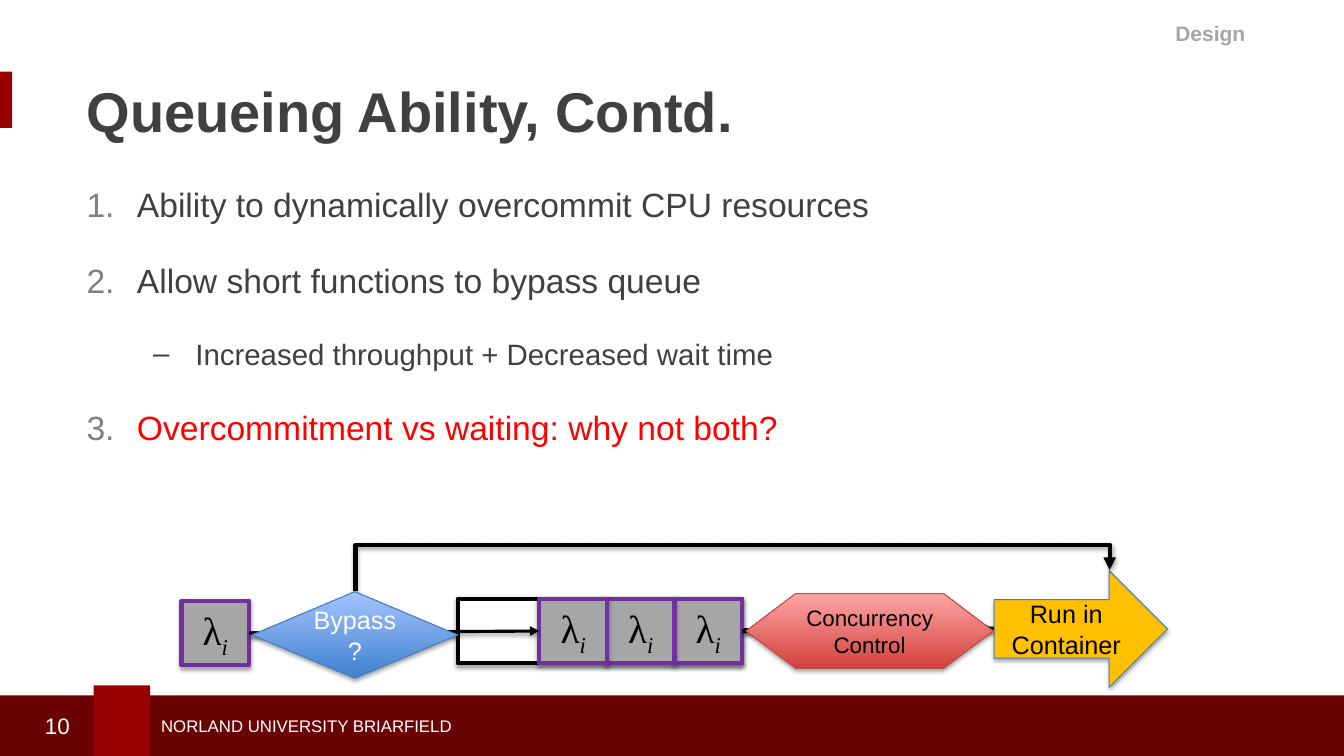
from lxml import etree
from pptx import Presentation
from pptx.dml.color import RGBColor
from pptx.enum.shapes import MSO_CONNECTOR as LINK, MSO_SHAPE as SHAPE
from pptx.enum.text import MSO_ANCHOR as ANCHOR, PP_ALIGN as ALIGN
from pptx.oxml.ns import qn
from pptx.util import Inches, Pt

TITLE = "Queueing Ability, Contd."
SECTION = "Design"
FOOTER = "NORLAND UNIVERSITY BRIARFIELD"
PAGE = "10"
POINTS = [
    (0, "Ability to dynamically overcommit CPU resources", "404041"),
    (0, "Allow short functions to bypass queue", "404041"),
    (1, "Increased throughput + Decreased wait time", "404041"),
    (0, "Overcommitment vs waiting: why not both?", "FF0000"),
]
LEVELS = [
    {"size": 24, "left": 0.5, "hang": 0.5},
    {"size": 21, "left": 1.08, "hang": 0.42},
]
BARS = [
    ((-0.04, 6.9, 13.46, 0.66), "690304"),
    ((0.93, 6.8, 0.56, 0.77), "990000"),
    ((0, 0.71, 0.12, 0.56), "990000"),
]
SLOT_COUNT = 3
SLOT_WIDTH, SLOT_HEIGHT = 0.67, 0.64
QUEUE_LEFT, QUEUE_TOP, QUEUE_WIDTH = 4.54, 5.94, 2.82

presentation = Presentation()
presentation.slide_width = Inches(13.33)
presentation.slide_height = Inches(7.5)
slide = presentation.slides.add_slide(presentation.slide_layouts[6])


def color(value):
    return RGBColor.from_string(value)


def add_child(parent, tag, **attributes):
    child = etree.SubElement(parent, qn(tag))
    for name, value in attributes.items():
        child.set(name, str(value))
    return child


def add_shadow(shape, opacity, distance):
    effects = add_child(shape._element.spPr, "a:effectLst")
    shadow = add_child(effects, "a:outerShdw", blurRad=Pt(3.1), dist=Pt(distance),
                       dir=5400000, rotWithShape=0)
    black = add_child(shadow, "a:srgbClr", val="000000")
    add_child(black, "a:alpha", val=opacity * 1000)


def write(paragraph, text, size=18, font="Arial", ink="000000", bold=False,
          italic=False, align=ALIGN.LEFT, baseline=0):
    paragraph.alignment = align
    run = paragraph.add_run()
    run.text = text
    run.font.name = font
    run.font.size = Pt(size)
    run.font.bold = bold
    run.font.italic = italic
    run.font.color.rgb = color(ink)
    if baseline:
        run._r.get_or_add_rPr().set("baseline", str(baseline * 1000))


def add_text_box(place, anchor=ANCHOR.MIDDLE):
    frame = slide.shapes.add_textbox(*map(Inches, place)).text_frame
    frame.word_wrap = True
    frame.vertical_anchor = anchor
    return frame


def add_label(place, text, anchor=ANCHOR.MIDDLE, **style):
    write(add_text_box(place, anchor).paragraphs[0], text, **style)


def add_bar(place, fill):
    bar = slide.shapes.add_shape(SHAPE.RECTANGLE, *map(Inches, place))
    bar.shadow.inherit = False
    bar.fill.solid()
    bar.fill.fore_color.rgb = color(fill)
    bar.line.fill.background()


def add_node(kind, place, fill, line, width, lines=(), **style):
    node = slide.shapes.add_shape(kind, *map(Inches, place))
    if isinstance(fill, tuple):
        node.fill.gradient()
        node.fill.gradient_angle = 90
        for stop, shade in zip(node.fill.gradient_stops, fill):
            stop.color.rgb = color(shade)
    else:
        node.fill.solid()
        node.fill.fore_color.rgb = color(fill)
    node.line.color.rgb = color(line)
    node.line.width = Pt(width)
    add_shadow(node, 35, 1.8)
    frame = node.text_frame
    frame.word_wrap = True
    frame.vertical_anchor = ANCHOR.MIDDLE
    frame.margin_left = frame.margin_right = 0
    for index, text in enumerate(lines):
        paragraph = frame.add_paragraph() if index else frame.paragraphs[0]
        write(paragraph, text, align=ALIGN.CENTER, **style)
    return node


def add_request(left, top):
    request = add_node(SHAPE.FLOWCHART_PROCESS, (left, top, SLOT_WIDTH, SLOT_HEIGHT),
                       "A6A6A6", "7030A0", 3)
    paragraph = request.text_frame.paragraphs[0]
    symbol = {"size": 28, "font": "Times New Roman", "align": ALIGN.CENTER}
    write(paragraph, "λ", **symbol)
    write(paragraph, "i", italic=True, baseline=-25, **symbol)
    return request


def add_arrow(start, end, width, kind=LINK.STRAIGHT):
    arrow = slide.shapes.add_connector(kind, *map(Inches, start + end))
    arrow.line.color.rgb = color("000000")
    arrow.line.width = Pt(width)
    add_child(arrow.line._get_or_add_ln(), "a:tailEnd", type="triangle")
    add_shadow(arrow, 38, 1.6)
    return arrow


for place, fill in BARS:
    add_bar(place, fill)
add_label((1.5, 7.05, 5.27, 0.3), FOOTER, size=12, ink="FFFFFF")
add_label((0.76, 0.58, 11.67, 1.02), TITLE, size=40, ink="404041", bold=True)
add_label((7.05, 0.15, 5.4, 0.37), SECTION, anchor=ANCHOR.TOP, size=15,
          ink="A6A6A6", bold=True, align=ALIGN.RIGHT)

body = add_text_box((0.76, 1.76, 11.69, 2.78), ANCHOR.TOP)
for index, (level, text, ink) in enumerate(POINTS):
    paragraph = body.add_paragraph() if index else body.paragraphs[0]
    look = LEVELS[level]
    paragraph.level = level
    paragraph.line_spacing = 1.05
    paragraph.space_after = Pt(24)
    write(paragraph, text, size=look["size"], ink=ink)
    properties = paragraph._p.get_or_add_pPr()
    properties.set("marL", str(Inches(look["left"])))
    properties.set("indent", str(-Inches(look["hang"])))
    if level:
        add_child(properties, "a:buFont", typeface="Arial")
        add_child(properties, "a:buChar", char="–")
    else:
        bullet_color = add_child(properties, "a:buClr")
        add_child(bullet_color, "a:srgbClr", val="808080")
        add_child(properties, "a:buFont", typeface="Arial")
        add_child(properties, "a:buAutoNum", type="arabicPeriod")

add_label((0.02, 7, 0.77, 0.4), PAGE, size=16, ink="FFFFFF", align=ALIGN.RIGHT)

through_arrow = add_arrow((2.47, 6.28), (10.15, 6.23), 2.25)
container = add_node(SHAPE.RIGHT_ARROW, (9.86, 5.66, 1.72, 1.16), "FFC000", "4B7EBC",
                     0.75, ["Run in Container"])
queue = add_node(SHAPE.FLOWCHART_PROCESS, (QUEUE_LEFT, QUEUE_TOP, QUEUE_WIDTH, SLOT_HEIGHT),
                 "FFFFFF", "000000", 3)
queue_right = QUEUE_LEFT + QUEUE_WIDTH
for place_in_line in range(1, SLOT_COUNT + 1):
    last_slot = add_request(queue_right - place_in_line * SLOT_WIDTH, QUEUE_TOP)
run_arrow = add_arrow((queue_right, 6.26), (9.86, 6.24), 3)
run_arrow.begin_connect(queue, 3)
run_arrow.end_connect(container, 1)

arrival = add_request(1.8, 5.96)
enqueue_arrow = add_arrow((2.47, 6.28), (5.36, 6.26), 2.25)
enqueue_arrow.begin_connect(arrival, 3)
enqueue_arrow.end_connect(last_slot, 1)
through_arrow.begin_connect(arrival, 3)

bypass_arrow = add_arrow((7.37, 9.5), (7.16, 2.02), 3, LINK.ELBOW)
bypass_properties = bypass_arrow._element.spPr
bypass_properties.find(qn("a:xfrm")).set("rot", "5400000")
adjustments = bypass_properties.find(qn("a:prstGeom")).find(qn("a:avLst"))
add_child(adjustments, "a:gd", name="adj1", fmla="val 219000")

add_node(SHAPE.DIAMOND, (2.5, 5.87, 2.04, 0.86), ("3F80CE", "A4C4FF"), "4B7EBC", 0.75,
         ["Bypass", "?"], ink="FFFFFF")
add_node(SHAPE.FLOWCHART_PREPARATION, (7.4, 5.89, 2.45, 0.74), ("D1403C", "FFA6A5"),
         "BF4C48", 0.75, ["Concurrency Control"], size=16)

presentation.save("out.pptx")
